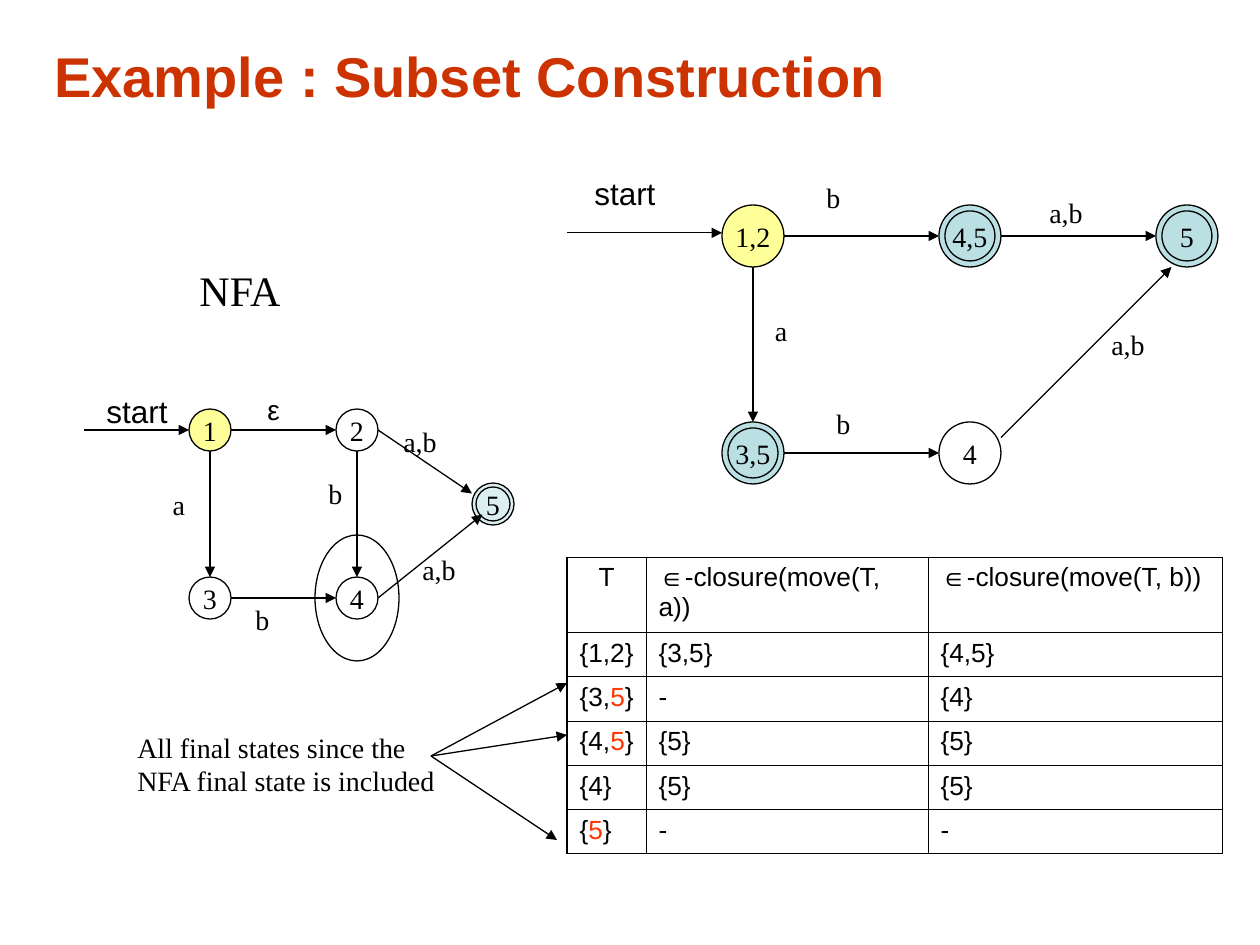
from lxml import etree
from pptx import Presentation
from pptx.dml.color import RGBColor
from pptx.enum.shapes import MSO_CONNECTOR, MSO_SHAPE
from pptx.enum.text import MSO_ANCHOR, MSO_AUTO_SIZE, PP_ALIGN
from pptx.oxml.ns import qn
from pptx.util import Inches, Pt

PX = Inches(1) / 126
BLACK = RGBColor(0x00, 0x00, 0x00)
WHITE = RGBColor(0xFF, 0xFF, 0xFF)
RUST = RGBColor(0xCC, 0x33, 0x00)
RED = RGBColor(0xFF, 0x33, 0x00)
YELLOW = RGBColor(0xFF, 0xFF, 0x99)
TEAL = RGBColor(0xBB, 0xE0, 0xE3)
OVAL = MSO_SHAPE.OVAL
STRAIGHT = MSO_CONNECTOR.STRAIGHT
MIDDLE = MSO_ANCHOR.MIDDLE
FIT, FIXED = MSO_AUTO_SIZE.SHAPE_TO_FIT_TEXT, MSO_AUTO_SIZE.NONE
LEFT, CENTER = PP_ALIGN.LEFT, PP_ALIGN.CENTER

SERIF = {"name": "Times New Roman", "size": Pt(16)}
SANS = {"name": "Arial", "size": Pt(16)}
START = {"name": "Arial", "size": Pt(18)}
HEADING = {"name": "Times New Roman", "size": Pt(24)}
TITLE = {"name": "Arial", "size": Pt(32), "bold": True}
CELL = {"name": "Arial", "size": Pt(15)}
LABEL_WIDTHS = {"a": 38, "b": 39, "a,b": 64}

TOP, EAST, BOTTOM, WEST = (0.5, 0), (1, 0.5), (0.5, 1), (0, 0.5)
LINE_WIDTH = Pt(0.75)
OUTER_BORDER, INNER_BORDER = Pt(1.08), Pt(0.45)


def emu(*lengths):
    return [round(length * PX) for length in lengths]


def set_all(target, values):
    for name, value in values.items():
        setattr(target, name, value)


def add_span(para, text, style, color=BLACK):
    span = para.add_run()
    span.text = text
    set_all(span.font, style)
    span.font.color.rgb = color


def add_label(shapes, box, lines, style, align=CENTER, color=BLACK):
    frame = shapes.add_textbox(*emu(*box)).text_frame
    set_all(frame, {"word_wrap": False, "auto_size": FIT})
    for index, line in enumerate(lines):
        para = frame.add_paragraph() if index else frame.paragraphs[0]
        para.alignment = align
        add_span(para, line, style, color)
    return frame


def add_oval(shapes, box, fill=None):
    oval = shapes.add_shape(OVAL, *emu(*box))
    oval.shadow.inherit = False
    oval.line.color.rgb = BLACK
    oval.line.width = LINE_WIDTH
    if fill is None:
        oval.fill.background()
    else:
        oval.fill.solid()
        oval.fill.fore_color.rgb = fill
    return oval


def add_arrow(shapes, start, end):
    arrow = shapes.add_connector(STRAIGHT, *emu(*start, *end))
    arrow.line.color.rgb = BLACK
    arrow.line.width = LINE_WIDTH
    etree.SubElement(arrow.line._get_or_add_ln(), qn("a:tailEnd"), type="triangle")
    etree.SubElement(arrow._element.spPr, qn("a:effectLst"))


def draw_automaton(shapes, box, size, inset, states, edges, labels, entry):
    left, top = box
    ovals = {}
    for text, (x, y, fill, final) in states.items():
        oval = add_oval(shapes, (left + x, top + y, size, size), fill)
        set_all(oval.text_frame, {"word_wrap": False, "vertical_anchor": MIDDLE})
        para = oval.text_frame.paragraphs[0]
        para.alignment = CENTER
        add_span(para, text, SERIF)
        if final:
            inner = size - 2 * inset
            add_oval(shapes, (left + x + inset, top + y + inset, inner, inner))
        ovals[text] = oval

    def anchor(text, side):
        x, y = states[text][:2]
        return left + x + side[0] * size, top + y + side[1] * size

    for source, source_side, target, target_side in edges:
        add_arrow(shapes, anchor(source, source_side), anchor(target, target_side))
    for text, x, y in labels:
        add_label(shapes, (left + x, top + y, LABEL_WIDTHS[text], 47), [text], SERIF)
    first = next(iter(states))
    end = anchor(first, entry)
    add_arrow(shapes, (left, end[1]), end)
    return ovals


def draw_nfa(page, box):
    left, top = box
    states = {
        "1": (105, 151, YELLOW, False),
        "2": (252, 151, WHITE, False),
        "3": (105, 319, WHITE, False),
        "4": (252, 319, WHITE, False),
        "5": (388, 225, TEAL, True),
    }
    edges = [
        ("1", EAST, "2", WEST), ("2", BOTTOM, "4", TOP),
        ("1", BOTTOM, "3", TOP), ("3", EAST, "4", WEST),
        ("4", EAST, "5", (0.25, 0.75)), ("2", EAST, "5", (0, 0.25)),
    ]
    labels = [("b", 159, 338), ("a", 76, 223), ("b", 232, 212),
              ("a,b", 304, 160), ("a,b", 323, 288)]
    ovals = draw_automaton(page.shapes, box, 42, 4, states, edges, labels, WEST)
    tint = ovals["5"]._element.spPr.find(".//" + qn("a:srgbClr"))
    etree.SubElement(tint, qn("a:alpha"), val="50000")
    add_oval(page.shapes, (left + 231, top + 277, 84, 126))
    add_label(page.shapes, (left + 171, top + 128, 37, 47), ["ε"], SANS)
    add_label(page.shapes, (left + 10, top + 128, 86, 50), ["start"], START, LEFT)
    add_label(page.shapes, (left + 103, top, 108, 63), ["NFA"], HEADING, LEFT)


def draw_dfa(page, box):
    left, top = box
    shapes = page.shapes.add_group_shape().shapes
    columns = [155 + 217 * index for index in range(3)]
    upper, lower = 37, 254
    states = {
        "1,2": (columns[0], upper, YELLOW, False),
        "4,5": (columns[1], upper, TEAL, True),
        "5": (columns[2], upper, TEAL, True),
        "3,5": (columns[0], lower, TEAL, True),
        "4": (columns[1], lower, None, False),
    }
    edges = [
        ("1,2", EAST, "4,5", WEST), ("4,5", EAST, "5", WEST),
        ("1,2", BOTTOM, "3,5", TOP), ("3,5", EAST, "4", WEST),
        ("4", (1, 0.25), "5", (0.25, 1)),
    ]
    labels = [("a,b", 467, 21), ("a,b", 529, 153), ("b", 247, 6),
              ("a", 195, 139), ("b", 257, 232)]
    draw_automaton(shapes, box, 62, 6, states, edges, labels, (0, 0.45))
    add_label(shapes, (left + 15, top, 86, 50), ["start"], START, LEFT)


def add_border(cell, tag, width):
    border = etree.SubElement(cell._tc.get_or_add_tcPr(), qn(tag), w=str(width))
    fill = etree.SubElement(border, qn("a:solidFill"))
    etree.SubElement(fill, qn("a:srgbClr"), val=str(BLACK))


def draw_closure_table(page, box):
    rows = [
        ("T", "∈-closure(move(T, a))", "∈-closure(move(T, b))"),
        ("{1,2}", "{3,5}", "{4,5}"),
        ("{3,5}", "-", "{4}"),
        ("{4,5}", "{5}", "{5}"),
        ("{4}", "{5}", "{5}"),
        ("{5}", "-", "-"),
    ]
    widths = [79, 282, 294]
    heights = [75] + [44] * 5
    table = page.shapes.add_table(
        len(rows), len(widths), *emu(*box, sum(widths), sum(heights))).table
    set_all(table, {"first_row": False, "horz_banding": False})
    for column, width in zip(table.columns, emu(*widths)):
        column.width = width
    for row, height in zip(table.rows, emu(*heights)):
        row.height = height
    for r, texts in enumerate(rows):
        for c, text in enumerate(texts):
            cell = table.cell(r, c)
            if c == 0 and r:
                cell.margin_right = emu(6)[0]
            for tag in ("a:lnL", "a:lnR", "a:lnT", "a:lnB"):
                is_outer = c == 0 and tag == "a:lnL"
                add_border(cell, tag, OUTER_BORDER if is_outer else INNER_BORDER)
            cell.fill.background()
            para = cell.text_frame.paragraphs[0]
            para.alignment = CENTER if text == "T" else LEFT
            parts = text.partition("5") if c == 0 else [text]
            for part in filter(None, parts):
                add_span(para, part, CELL, RED if part == "5" else BLACK)


def draw_final_note(page, box):
    left, top = box
    lines = ["All final states since the", "NFA final state is included"]
    add_label(page.shapes, (left, top + 41, 326, 81), lines, SERIF, LEFT)
    for x, y in [(442, 0), (442, 52), (432, 157)]:
        add_arrow(page.shapes, (left + 306, top + 73), (left + x, top + y))


def draw_title(page, box):
    lines = ["Example : Subset Construction"]
    frame = add_label(page.shapes, box, lines, TITLE, LEFT, RUST)
    set_all(frame, {"word_wrap": True, "auto_size": FIXED, "vertical_anchor": MIDDLE})


def main():
    deck = Presentation()
    deck.slide_width, deck.slide_height = emu(1260, 945)
    page = deck.slides.add_slide(deck.slide_layouts[6])
    draw_title(page, (42, 31, 1184, 88))
    draw_nfa(page, (84, 258))
    draw_closure_table(page, (567, 557))
    draw_final_note(page, (125, 683))
    draw_dfa(page, (567, 168))
    deck.save("out.pptx")


if __name__ == "__main__":
    main()
